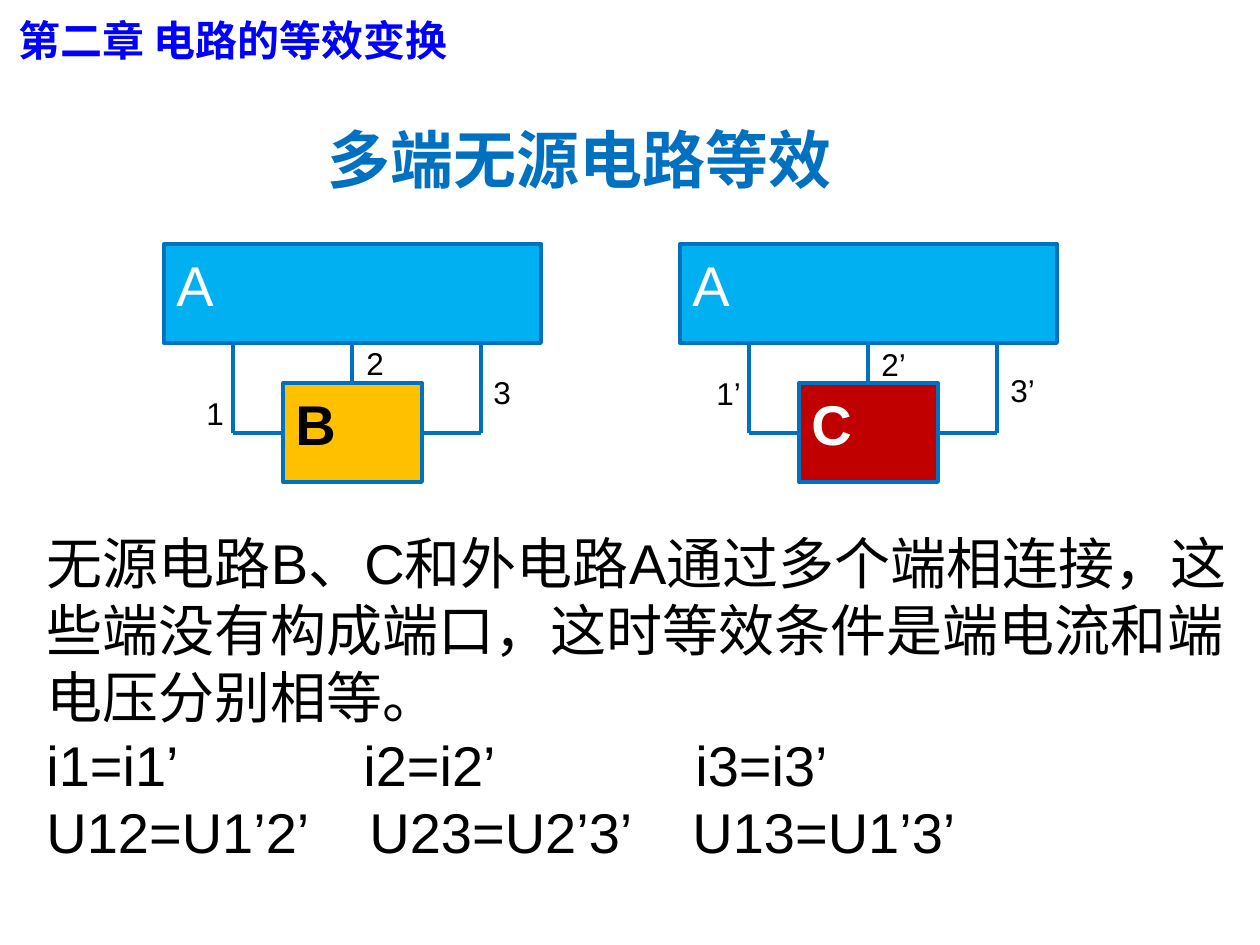
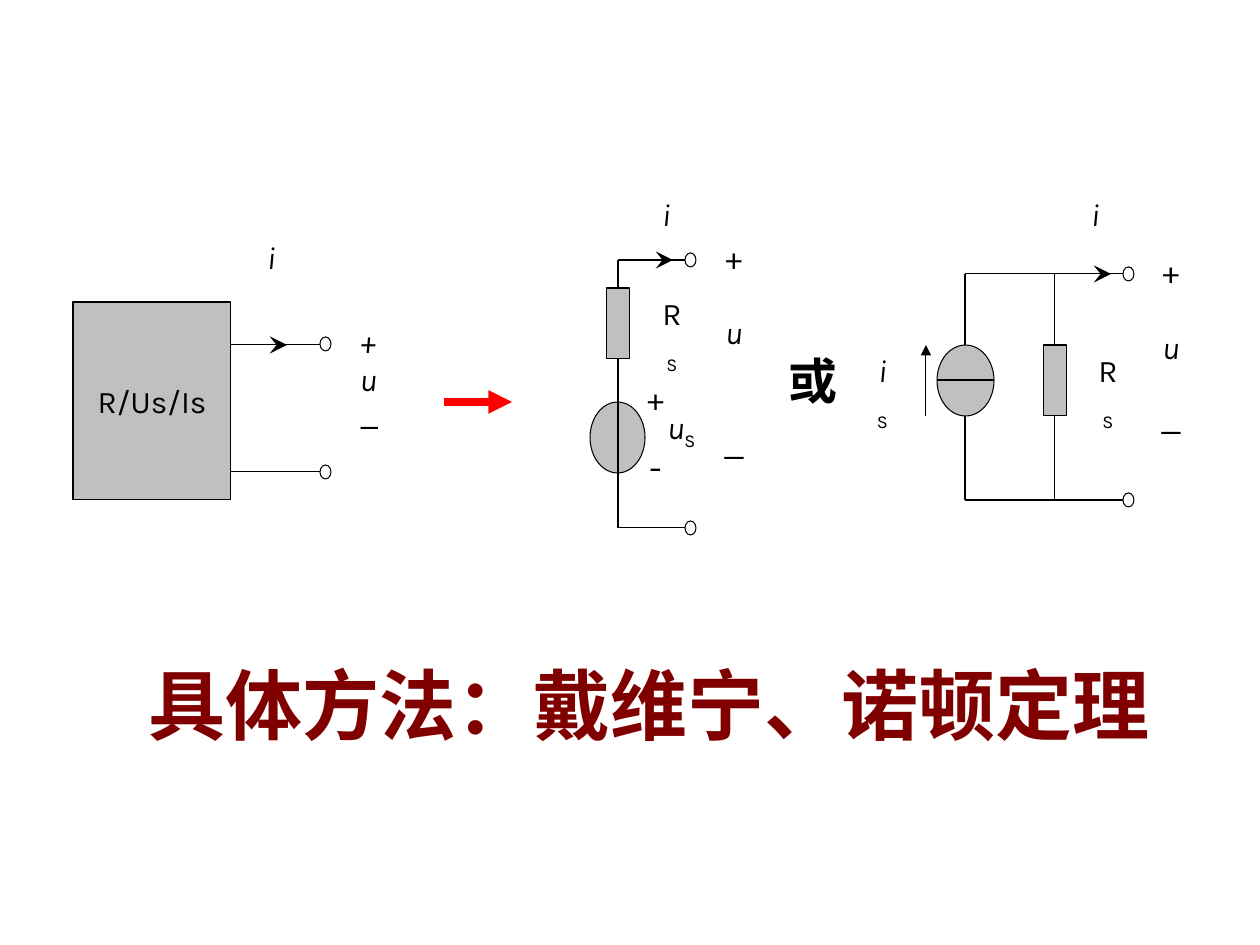
from lxml.etree import SubElement
from pptx import Presentation
from pptx.dml.color import RGBColor
from pptx.enum.shapes import MSO_CONNECTOR as Connector, MSO_SHAPE as Preset
from pptx.enum.text import MSO_ANCHOR as Anchor, MSO_AUTO_SIZE as AutoSize, PP_ALIGN as Align
from pptx.oxml.ns import qn
from pptx.util import Emu, Pt

PX = 914400 / 126
COLORS = {
    "title": "0070C0", "chapter": "0000FF", "method": "800000",
    "external": "00B0F0", "network_b": "FFC000", "network_c": "C00000",
    "part": "C0C0C0", "arrow": "FF0000", "black": "000000", "white": "FFFFFF",
}
CJK_FONT = "Noto Sans CJK SC"
THIN = 0.6

CHAPTER = "第二章 电路的等效变换"
TITLE = "多端无源电路等效"
CONDITION = "无源电路B、C和外电路A通过多个端相连接，这些端没有构成端口，这时等效条件是端电流和端电压分别相等。"
EQUATIONS = [
    (724, [("i1=i1’", 34), ("i2=i2’", 351), ("i3=i3’", 683)]),
    (791, [("U12=U1’2’", 34), ("U23=U2’3’", 357), ("U13=U1’3’", 680)]),
]
NETWORKS = [
    (164, "B", "network_b", "black", 43, [("1", 194, 388), ("2", 354, 338), ("3", 481, 367)]),
    (680, "C", "network_c", "white", 49, [("1’", 704, 368), ("2’", 869, 339), ("3’", 998, 365)]),
]

METHOD = "具体方法：戴维宁、诺顿定理"
WIRES = [
    (231, 345, 320, 345), (231, 472, 320, 472),
    (618, 288, 618, 260), (618, 260, 685, 260), (618, 359, 618, 528), (618, 528, 685, 528),
    (1055, 345, 1055, 274), (965, 274, 1123, 274),
    (1055, 416, 1055, 500), (965, 500, 1123, 500), (965, 500, 965, 274),
]
TERMINALS = [(320, 344), (320, 472), (685, 260), (685, 528), (1123, 274), (1123, 500)]
RESISTORS = [(607, 288), (1044, 345)]
CURRENT_ARROWS = [(265, 345), (651, 260), (1089, 274)]
CURRENT_LABELS = [(650, 189), (255, 232), (1079, 189)]
RESISTANCE_LABELS = [(646, 288), (1082, 345)]
VOLTAGE_LABELS = [
    ((347, 316, 43, 126), "iii", (0, 0, 0)),
    ((708, 232, 52, 239), " i ", (0, 21, 44)),
    ((1145, 246, 52, 202), " i ", (0, 22, 21)),
]


def rgb(name):
    return RGBColor.from_string(COLORS[name])


def px(*lengths):
    return [Emu(round(length * PX)) for length in lengths]


def write_run(paragraph, text, size, font, color, marks=""):
    run = paragraph.add_run()
    run.text = text
    run.font.size = Pt(size)
    run.font.name = font
    run.font.color.rgb = rgb(color)
    run.font.bold = "b" in marks
    run.font.italic = "i" in marks
    properties = run._r.get_or_add_rPr()
    SubElement(properties, qn("a:ea")).set("typeface", CJK_FONT)
    if "s" in marks:
        properties.set("baseline", "-25000")


def write(shape, paragraphs, size, font, color, align=Align.LEFT, anchor=Anchor.TOP,
          wrap=True, gaps=()):
    frame = shape.text_frame
    frame.auto_size = AutoSize.NONE
    frame.word_wrap = wrap
    frame.vertical_anchor = anchor
    for index, runs in enumerate(paragraphs):
        paragraph = frame.paragraphs[0] if index == 0 else frame.add_paragraph()
        paragraph.alignment = align
        paragraph.space_before = Pt(gaps[index] if gaps else 0)
        for text, marks in runs:
            write_run(paragraph, text, size, font, color, marks)


def place(shape, box):
    shape.left, shape.top, shape.width, shape.height = px(*box)
    return shape


def add_label(slide, box, paragraphs, size=18, font="Karla", color="black",
              align=Align.CENTER, wrap=False, gaps=()):
    shape = slide.shapes.add_textbox(*px(*box))
    write(shape, paragraphs, size, font, color, align, wrap=wrap, gaps=gaps)


def add_part(slide, preset, box, fill=None, line="black", width=THIN):
    shape = slide.shapes.add_shape(preset, *px(*box))
    shape.shadow.inherit = False
    if fill:
        shape.fill.solid()
        shape.fill.fore_color.rgb = rgb(fill)
    else:
        shape.fill.background()
    shape.line.color.rgb = rgb(line)
    shape.line.width = Pt(width)
    return shape


def add_wire(slide, ends, color="black", width=THIN, arrow=None, arrow_size="med"):
    wire = slide.shapes.add_connector(Connector.STRAIGHT, *px(*ends))
    wire.line.color.rgb = rgb(color)
    wire.line.width = Pt(width)
    if arrow:
        SubElement(wire.line._get_or_add_ln(), qn("a:tailEnd"),
                   type=arrow, w=arrow_size, len=arrow_size)
    SubElement(wire._element.spPr, qn("a:effectLst"))


def add_network(slide, left, name, fill, name_color, label_width, labels):
    outline = {"line": "title", "width": 2.25}
    network = add_part(slide, Preset.RECTANGLE, (left + 119, 383, 139, 99), fill, **outline)
    write(network, [[(name, "b")]], 32, "Arial", name_color)
    external = add_part(slide, Preset.RECTANGLE, (left, 244, 377, 99), "external", **outline)
    write(external, [[("A", "")]], 32, "Arial", "white")
    first, second, third = left + 69, left + 188, left + 317
    for ends in [(second, 383, second, 344),
                 (left + 258, 433, third, 433), (third, 433, third, 344),
                 (left + 119, 433, first, 433), (first, 433, first, 344)]:
        add_wire(slide, ends, "title", 2.25)
    for text, x, y in labels:
        add_label(slide, (x, y, label_width, 50), [[(text, "")]], font="Arial", align=Align.LEFT)


def build_multiterminal(presentation):
    slide = presentation.slides.add_slide(presentation.slide_layouts[1])
    title = place(slide.shapes.title, (315, 114, 560, 88))
    write(title, [[(TITLE, "b")]], 36, "Arial", "title")
    add_label(slide, (6, 8, 455, 63), [[(CHAPTER, "b")]], 24, CJK_FONT, "chapter", Align.LEFT)
    body = place(slide.placeholders[1], (34, 522, 1226, 214))
    write(body, [[(CONDITION, "")]], 32, "Arial", "black")
    properties = body.text_frame.paragraphs[0]._p.get_or_add_pPr()
    for name in ("marL", "indent", "hangingPunct"):
        properties.set(name, "0")
    SubElement(properties, qn("a:buNone"))
    for top, equations in EQUATIONS:
        for text, left in equations:
            add_label(slide, (left, top, 300, 80), [[(text, "")]], 32, "Arial", align=Align.LEFT)
    for network in NETWORKS:
        add_network(slide, *network)


def build_equivalents(presentation):
    slide = presentation.slides.add_slide(presentation.slide_layouts[5])
    title = place(slide.shapes.title, (136, 651, 1099, 106))
    write(title, [[(METHOD, "b")]], 44, "Times New Roman", "method")

    one_port = add_part(slide, Preset.RECTANGLE, (73, 302, 158, 198), "part")
    write(one_port, [[("R/Us/Is", "")]], 18, "Karla", "black", Align.CENTER, Anchor.MIDDLE, False)
    add_part(slide, Preset.OVAL, (590, 402, 55, 71), "part")
    for ends in WIRES:
        add_wire(slide, ends)
    add_part(slide, Preset.OVAL, (937, 345, 57, 71), "part")
    add_wire(slide, (937, 380, 994, 380))
    for x, y in RESISTORS:
        add_part(slide, Preset.RECTANGLE, (x, y, 23, 71), "part")
    for x, y in TERMINALS:
        add_part(slide, Preset.OVAL, (x, y - 7, 11, 14))

    for x, y in CURRENT_ARROWS:
        add_wire(slide, (x, y, x + 22, y), arrow="stealth", arrow_size="lg")
    add_wire(slide, (926, 416, 926, 345), arrow="triangle")
    add_wire(slide, (444, 402, 512, 402), "arrow", 4.5, "triangle")

    for x, y in CURRENT_LABELS:
        add_label(slide, (x, y, 33, 50), [[("i", "i")]])
    for x, y in RESISTANCE_LABELS:
        add_label(slide, (x, y, 52, 55), [[("R", ""), ("S", "s")]], wrap=True)
    add_label(slide, (862, 345, 41, 55), [[("i", "i"), ("S", "s")]], wrap=True)
    add_label(slide, (655, 402, 53, 55), [[("u", "i"), ("S", "s")]])
    add_label(slide, (634, 373, 43, 50), [[("+", "")]])
    add_label(slide, (637, 439, 37, 55), [[("-", "")]], 20)
    for box, marks, gaps in VOLTAGE_LABELS:
        add_label(slide, box, [[run] for run in zip("+u_", marks)], wrap=True, gaps=gaps)
    add_label(slide, (776, 344, 74, 72), [[("或", "b")]], 28)


def main():
    presentation = Presentation()
    presentation.slide_width, presentation.slide_height = px(1260, 945)
    build_multiterminal(presentation)
    build_equivalents(presentation)
    presentation.save("out.pptx")


if __name__ == "__main__":
    main()
